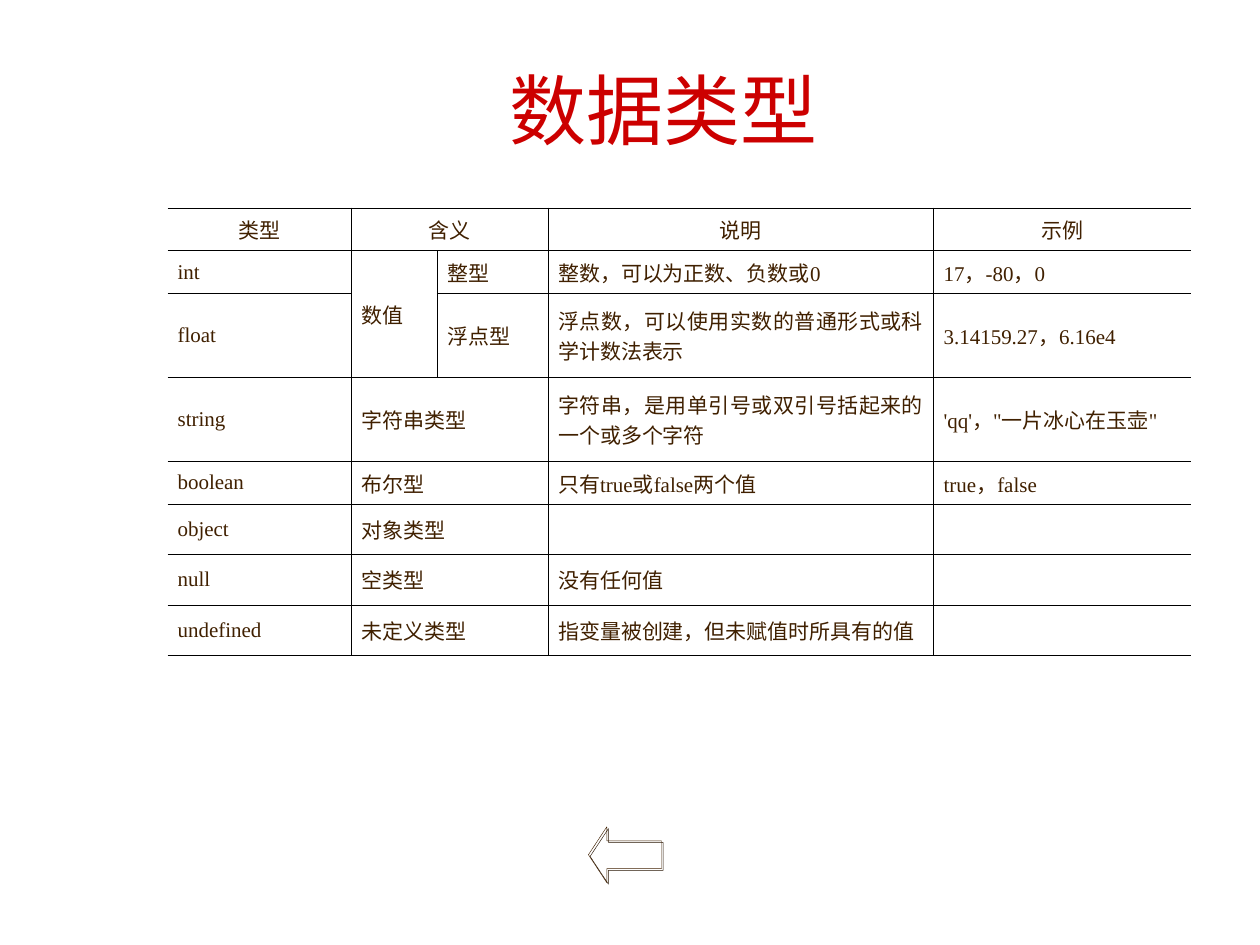
from lxml.etree import SubElement
from pptx import Presentation
from pptx.dml.color import RGBColor
from pptx.enum.shapes import MSO_SHAPE
from pptx.enum.text import MSO_ANCHOR, PP_ALIGN
from pptx.oxml import parse_xml
from pptx.oxml.ns import nsdecls, qn
from pptx.util import Inches, Pt

WIDE, HIGH = Inches(10), Inches(7.5)
FONT = "Times New Roman"
HUES = {"title": "CC0000", "text": "402000", "rule": "000000", "shade": "261300"}

# Column widths and row heights, in percent of the slide
COLS = [14.6, 6.8, 8.8, 30.6, 20.4]
ROWS = [4.53, 4.53, 8.89, 8.89, 4.53, 5.2, 5.2, 5.2]
CELLS = [
    ["类型", "含义", "", "说明", "示例"],
    ["int", "数值", "整型", "整数，可以为正数、负数或0", "17，-80，0"],
    ["float", "", "浮点型", "浮点数，可以使用实数的普通形式或科学计数法表示",
     "3.14159.27，6.16e4"],
    ["string", "字符串类型", "", "字符串，是用单引号或双引号括起来的一个或多个字符",
     "'qq'，\"一片冰心在玉壶\""],
    ["boolean", "布尔型", "", "只有true或false两个值", "true，false"],
    ["object", "对象类型", "", "", ""],
    ["null", "空类型", "", "没有任何值", ""],
    ["undefined", "未定义类型", "", "指变量被创建，但未赋值时所具有的值", ""],
]


def across(share):
    return int(WIDE * share / 100)


def down(share):
    return int(HIGH * share / 100)


def area(left, top, width, height):
    """Turn percentages of the slide into lengths."""
    return across(left), down(top), across(width), down(height)


def write(frame, text, size, hue, align):
    frame.text = text
    para = frame.paragraphs[0]
    para.alignment = align
    for run in para.runs:
        run.font.name = FONT
        run.font.size = Pt(size)
        run.font.color.rgb = RGBColor.from_string(HUES[hue])


def add_title(slide, text):
    frame = slide.shapes.add_textbox(*area(10.1, 4.13, 85.2, 14.8)).text_frame
    frame.word_wrap = True
    frame.vertical_anchor = MSO_ANCHOR.MIDDLE
    write(frame, text, 44, "title", PP_ALIGN.CENTER)


def rule(cell, sides, bare):
    """Draw a thin line on each side, and none on the bare ones."""
    props = cell._tc.get_or_add_tcPr()
    for side in sides:
        line = SubElement(props, qn(f"a:ln{side}"), w=str(Pt(0.45)))
        if side in bare:
            SubElement(line, qn("a:noFill"))
        else:
            fill = SubElement(line, qn("a:solidFill"))
            SubElement(fill, qn("a:srgbClr"), val=HUES["rule"])


def fill_cell(cell, text, row, col):
    head = row == 0
    cell.margin_left = cell.margin_right = Inches(0.08)
    cell.margin_top = cell.margin_bottom = Inches(0.05)
    cell.vertical_anchor = MSO_ANCHOR.TOP if head else MSO_ANCHOR.MIDDLE
    if text:
        align = PP_ALIGN.CENTER if head else PP_ALIGN.JUSTIFY
        write(cell.text_frame, text, 12, "text", align)
        cell.text_frame.paragraphs[0].space_after = Pt(1.2)
    rule(cell, "LRTB", {0: "L", len(COLS) - 1: "R"}.get(col, ""))
    cell.fill.background()


def add_grid(slide):
    place = area(13.3, 22, sum(COLS), sum(ROWS))
    table = slide.shapes.add_table(len(ROWS), len(COLS), *place).table
    table.first_row = table.horz_banding = False
    for col, share in zip(table.columns, COLS):
        col.width = across(share)
    for row, share in zip(table.rows, ROWS):
        row.height = down(share)
    for r, line in enumerate(CELLS):
        for c, text in enumerate(line):
            fill_cell(table.cell(r, c), text, r, c)
        if not line[2]:
            table.cell(r, 1).merge(table.cell(r, 2))
    table.cell(1, 1).merge(table.cell(2, 1))


def add_arrow(slide):
    arrow = slide.shapes.add_shape(MSO_SHAPE.LEFT_ARROW, *area(46.7, 87.5, 5.8, 5.9))
    arrow.adjustments[1] = 0.33
    arrow.fill.background()
    arrow.line.color.rgb = RGBColor.from_string(HUES["text"])
    arrow.line.width = Pt(0.25)
    arrow._element.spPr.append(parse_xml(
        f'<a:effectLst {nsdecls("a")}>'
        f'<a:outerShdw dist="{Pt(1.4)}" dir="2700000" algn="ctr" rotWithShape="0">'
        f'<a:srgbClr val="{HUES["shade"]}"/></a:outerShdw></a:effectLst>'))


def main():
    deck = Presentation()
    deck.slide_width, deck.slide_height = WIDE, HIGH
    slide = deck.slides.add_slide(deck.slide_layouts[6])
    add_arrow(slide)
    add_title(slide, "数据类型")
    add_grid(slide)
    deck.save("out.pptx")


if __name__ == "__main__":
    main()
